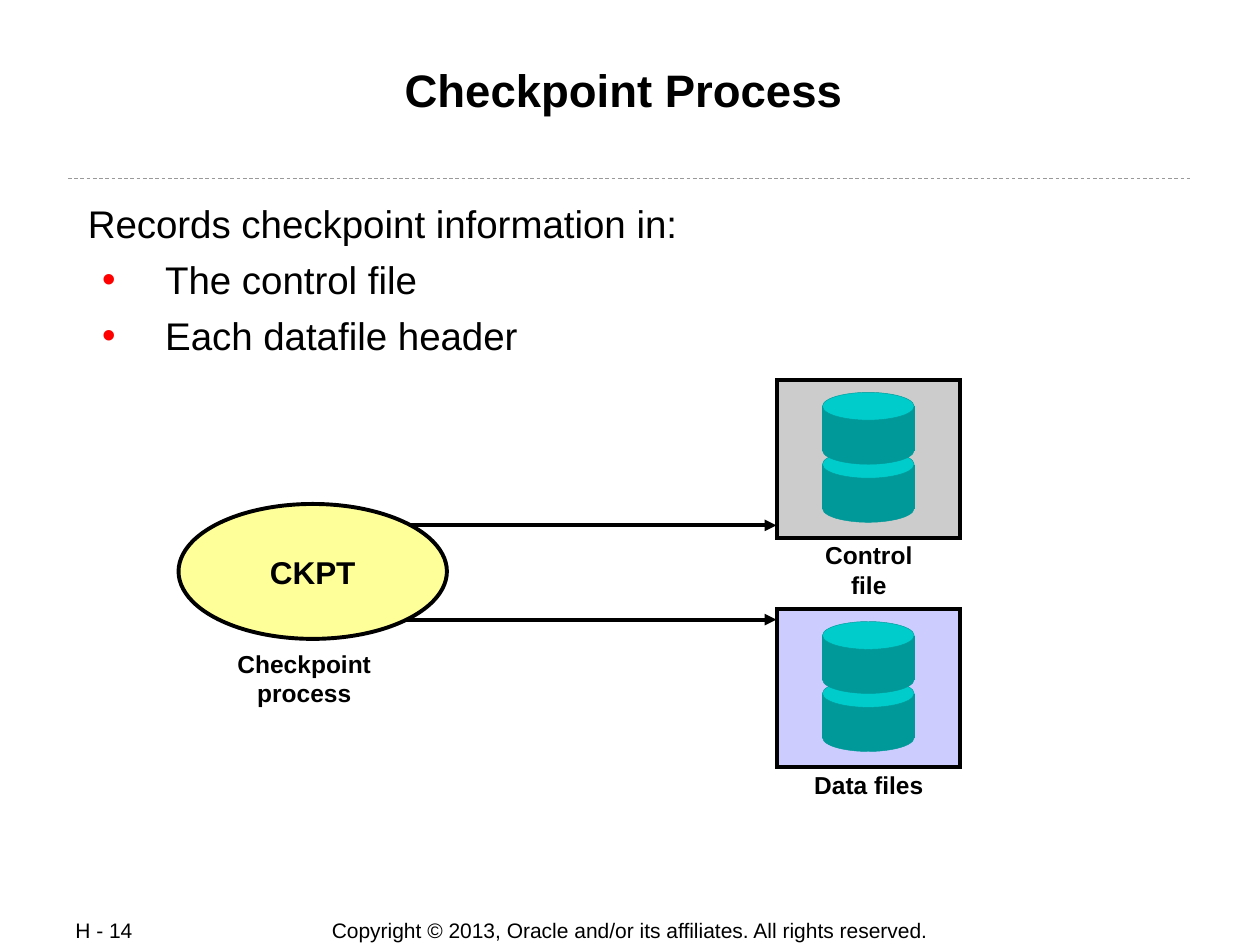
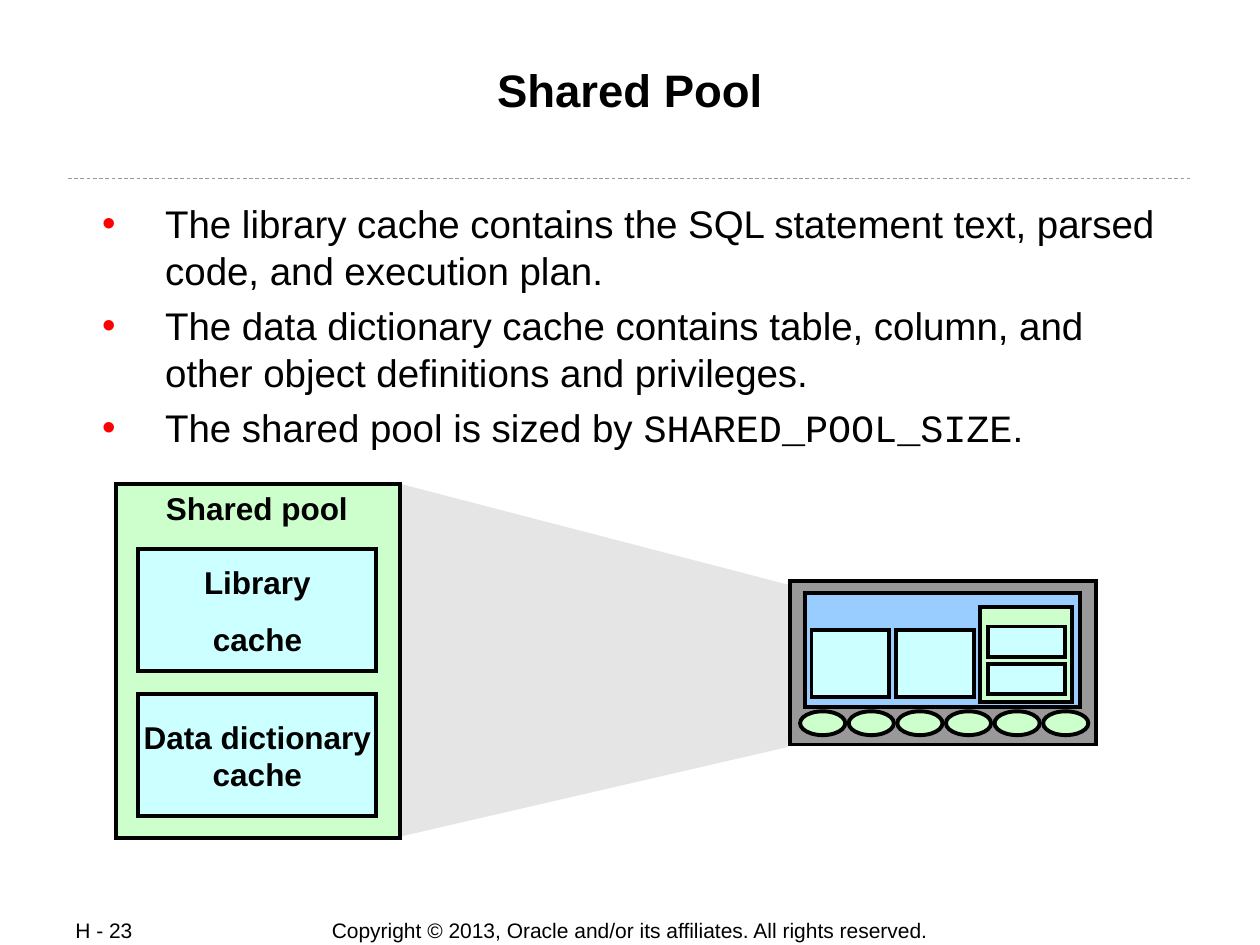
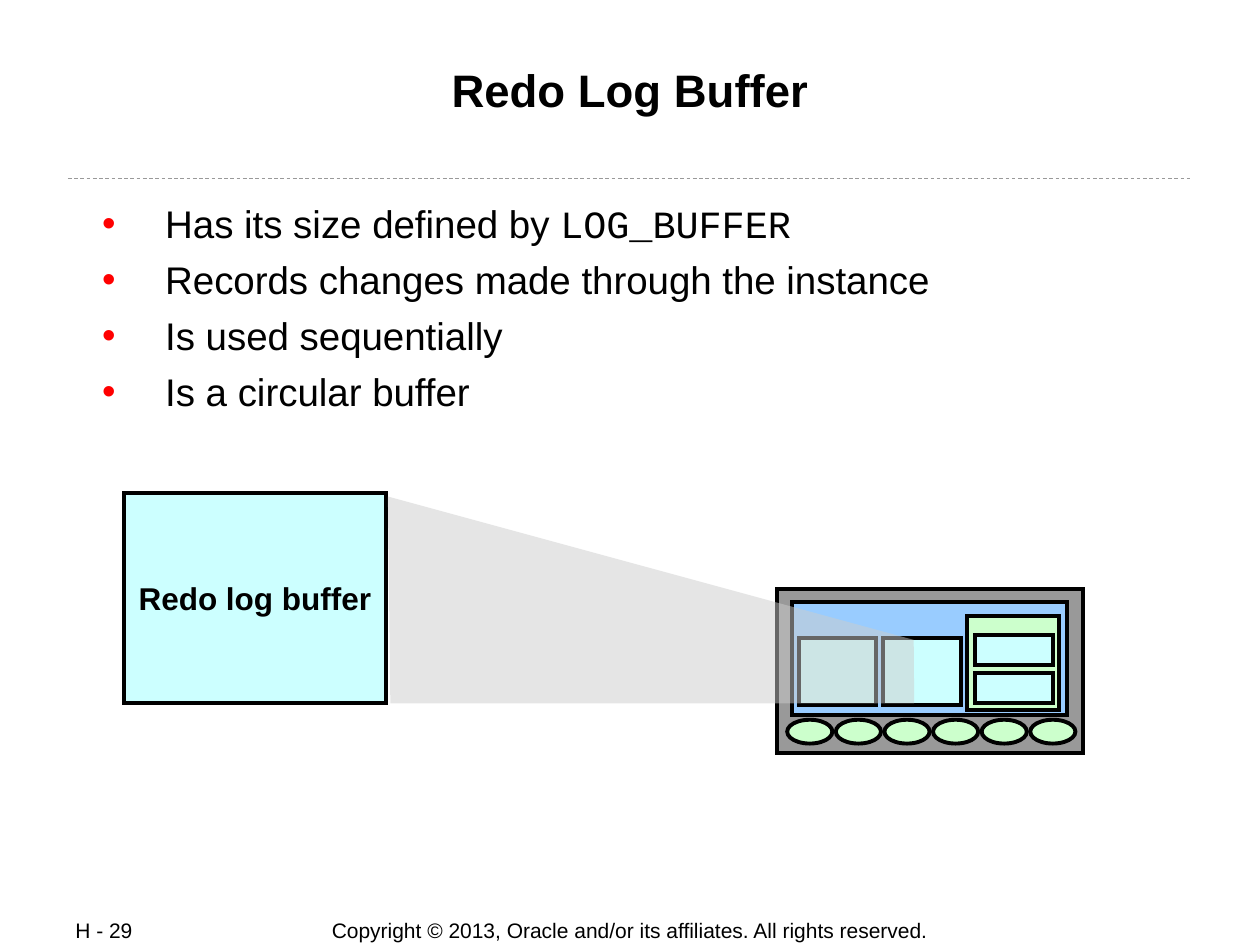
import dataclasses

import lxml.etree
import pptx
import pptx.dml.color
import pptx.enum.dml
import pptx.enum.shapes
import pptx.enum.text
import pptx.oxml.ns
import pptx.util

Cm = pptx.util.Cm
Pt = pptx.util.Pt
RGB = pptx.dml.color.RGBColor.from_string
RECT = pptx.enum.shapes.MSO_SHAPE.RECTANGLE
OVAL = pptx.enum.shapes.MSO_SHAPE.OVAL
ALIGN = pptx.enum.text.PP_ALIGN
ANCHOR = pptx.enum.text.MSO_ANCHOR


@dataclasses.dataclass(frozen=True)
class Theme:
    font: str = "Arial"
    code_font: str = "Courier New"
    title_size: float = 26
    body_size: float = 22
    shape_size: float = 18
    label_size: float = 14
    footer_size: float = 12
    outline: float = 2.25
    ink: str = "000000"
    bullet: str = "FF0000"
    rule: str = "999999"
    beam: str = "CCCCCC"
    grey: str = "CCCCCC"
    lilac: str = "CCCCFF"
    yellow: str = "FFFF99"
    green: str = "CCFFCC"
    cyan: str = "CCFFFF"
    blue: str = "99CCFF"
    frame: str = "999999"
    disk: str = "009999"
    disk_top: str = "00CCCC"


THEME = Theme()
COPYRIGHT = "Copyright © 2013, Oracle and/or its affiliates. All rights reserved."


def add_xml(parent, tag, **attributes):
    child = lxml.etree.SubElement(parent, pptx.oxml.ns.qn(tag))
    for name, value in attributes.items():
        child.set(name, value)
    return child


def place(sp, left, top, width, height):
    sp.left, sp.top, sp.width, sp.height = Cm(left), Cm(top), Cm(width), Cm(height)


def style_font(font, size, bold=False, name=THEME.font):
    font.name = name
    font.size = Pt(size)
    font.bold = bold
    font.color.rgb = RGB(THEME.ink)


def write(tf, text, size, bold=True, align=ALIGN.CENTER, space=0):
    tf.text = text
    for i, p in enumerate(tf.paragraphs):
        p.alignment = align
        p.space_before = Pt(space if i else 0)
        for r in p.runs:
            style_font(r.font, size, bold)


def prepare_placeholder(sp, box):
    place(sp, *box)
    tf = sp.text_frame
    tf.word_wrap = True
    tf.auto_size = pptx.enum.text.MSO_AUTO_SIZE.NONE
    tf.vertical_anchor = ANCHOR.TOP
    tf.margin_left = tf.margin_right = tf.margin_top = tf.margin_bottom = Cm(0.03)
    return tf


def add_label(s, box, text, size=THEME.label_size, bold=True,
              align=ALIGN.CENTER, anchor=ANCHOR.TOP):
    tf = s.shapes.add_textbox(*map(Cm, box)).text_frame
    tf.word_wrap = True
    tf.vertical_anchor = anchor
    write(tf, text, size, bold, align)


def add_line(s, start, end, color, width):
    sp = s.shapes.add_connector(pptx.enum.shapes.MSO_CONNECTOR.STRAIGHT,
                                *map(Cm, start + end))
    sp.line.color.rgb = RGB(color)
    sp.line.width = Pt(width)
    add_xml(sp._element.spPr, "a:effectLst")
    return sp


def add_arrow(s, start, end):
    sp = add_line(s, start, end, THEME.ink, THEME.outline)
    add_xml(sp.line._get_or_add_ln(), "a:tailEnd", type="triangle")


def add_figure(s, kind, box, fill, text="", line=THEME.ink, width=THEME.outline):
    sp = s.shapes.add_shape(kind, *map(Cm, box))
    sp.shadow.inherit = False
    sp.fill.solid()
    sp.fill.fore_color.rgb = RGB(fill)
    sp.line.color.rgb = RGB(line)
    sp.line.width = Pt(width)
    add_xml(sp.line._get_or_add_ln(), "a:miter", lim="800000")
    if text:
        tf = sp.text_frame
        tf.word_wrap = False
        tf.vertical_anchor = ANCHOR.MIDDLE
        write(tf, text, THEME.shape_size, space=11.2)


def add_beam(s, *points):
    corners = [(Cm(x), Cm(y)) for x, y in points]
    builder = s.shapes.build_freeform(*corners[0])
    builder.add_line_segments(corners[1:])
    sp = builder.convert_to_shape()
    sp.shadow.inherit = False
    sp.fill.solid()
    sp.fill.fore_color.rgb = RGB(THEME.beam)
    sp.line.fill.background()
    color = sp._element.spPr.find(".//" + pptx.oxml.ns.qn("a:srgbClr"))
    add_xml(color, "a:alpha", val="50000")


def add_disk(s, left, top):
    for kind, drop, height, fill in ((RECT, 0.29, 0.87, THEME.disk),
                                     (OVAL, 0, 0.56, THEME.disk_top),
                                     (OVAL, 0.89, 0.56, THEME.disk)):
        add_figure(s, kind, (left, top + drop, 1.85, height), fill,
                   line=THEME.disk, width=0.25)


def add_storage(s, left, top, fill):
    add_figure(s, RECT, (left, top, 3.68, 3.18), fill)
    for drop in (1.42, 0.25):
        add_disk(s, left + 0.91, top + drop)


def add_instance(s, left, top):
    parts = [
        (RECT, 0, 0, 6.17, 3.3, THEME.frame),
        (RECT, 0.29, 0.25, 5.56, 2.29, THEME.blue),
        (RECT, 0.43, 0.99, 1.57, 1.35, THEME.cyan),
        (RECT, 2.13, 0.99, 1.57, 1.35, THEME.cyan),
        (RECT, 3.83, 0.53, 1.85, 1.91, THEME.green),
        (RECT, 3.98, 0.92, 1.57, 0.61, THEME.cyan),
        (RECT, 3.98, 1.68, 1.57, 0.61, THEME.cyan),
    ]
    parts += [(OVAL, 0.2 + 0.98 * i, 2.63, 0.91, 0.48, THEME.green) for i in range(6)]
    for kind, x, y, width, height, fill in parts:
        add_figure(s, kind, (left + x, top + y, width, height), fill)


def add_bullet(p):
    pPr = p._p.get_or_add_pPr()
    pPr.set("marL", str(Cm(1.6)))
    pPr.set("indent", str(Cm(-1.27)))
    add_xml(add_xml(pPr, "a:buClr"), "a:srgbClr", val=THEME.bullet)
    add_xml(pPr, "a:buFont", typeface=THEME.font)
    add_xml(pPr, "a:buChar", char="•")


def remove_bullet(p):
    pPr = p._p.get_or_add_pPr()
    pPr.set("marL", str(Cm(0.04)))
    pPr.set("indent", "0")
    add_xml(pPr, "a:buNone")


def fill_body(tf, items, intro):
    for i, item in enumerate([intro] * bool(intro) + items):
        p = tf.add_paragraph() if i else tf.paragraphs[0]
        if item == intro:
            remove_bullet(p)
        else:
            p.level = 1
            add_bullet(p)
        p.alignment = ALIGN.LEFT
        p.space_before = Pt(5.5 if i else 0)
        for n, part in enumerate(item.split("`")):
            if part:
                r = p.add_run()
                r.text = part
                style_font(r.font, THEME.body_size,
                           name=THEME.code_font if n % 2 else THEME.font)


def add_slide(prs, page, title, body_height, items, intro=""):
    s = prs.slides.add_slide(prs.slide_layouts[1])
    add_label(s, (6.35, 18.49, 12.7, 0.53), COPYRIGHT, THEME.footer_size, False,
              anchor=ANCHOR.MIDDLE)
    add_label(s, (1.27, 18.49, 2.69, 0.51), page, THEME.footer_size, False,
              ALIGN.LEFT, ANCHOR.MIDDLE)
    rule = add_line(s, (1.37, 3.6), (24.03, 3.6), THEME.rule, 0.5)
    rule.line.dash_style = pptx.enum.dml.MSO_LINE.DASH
    tf = prepare_placeholder(s.shapes.title, (1.7, 1.22, 22, 2.44))
    write(tf, title, THEME.title_size)
    tf = prepare_placeholder(s.placeholders[1], (1.7, 4.01, 22, body_height))
    fill_body(tf, items, intro)
    return s


def add_checkpoint_slide(prs):
    s = add_slide(prs, "H - 14", "Checkpoint Process \v", 3.25,
                  ["The control file", "Each datafile header"],
                  "Records checkpoint information in:")
    for y in (10.59, 12.49):
        add_arrow(s, (8.05, y), (15.65, y))
    add_label(s, (4.19, 12.95, 3.89, 1.45), "Checkpoint process")
    add_label(s, (16.03, 15.39, 2.97, 0.86), "Data files")
    add_label(s, (16.03, 10.77, 2.97, 1.45), "Control file")
    add_storage(s, 15.67, 7.66, THEME.grey)
    add_storage(s, 15.67, 12.28, THEME.lilac)
    add_figure(s, OVAL, (3.6, 10.16, 5.41, 2.72), THEME.yellow, "CKPT")


def add_shared_pool_slide(prs):
    s = add_slide(prs, "H - 23", "Shared Pool", 5.11, [
        "The library cache contains the SQL statement text, parsed code, "
        "and execution plan.",
        "The data dictionary cache contains table, column, and other object "
        "definitions and privileges.",
        "The shared pool is sized by `SHARED_POOL_SIZE`.",
    ])
    add_beam(s, (8.05, 9.75), (8.05, 16.87), (15.88, 15.06), (15.9, 11.79))
    add_figure(s, RECT, (2.34, 9.75, 5.72, 7.14), THEME.green)
    for y, text in ((14, "Data dictionary\vcache"), (11.07, "Library\ncache")):
        add_figure(s, RECT, (2.79, y, 4.8, 2.46), THEME.cyan, text)
    add_label(s, (2.54, 9.73, 5.28, 1.02), "Shared pool", THEME.shape_size)
    add_instance(s, 15.93, 11.71)


def add_redo_log_slide(prs):
    s = add_slide(prs, "H - 29", "Redo Log Buffer", 4.37, [
        "Has its size defined by `LOG_BUFFER`",
        "Records changes made through the instance",
        "Is used sequentially",
        "Is a circular buffer",
    ])
    add_instance(s, 15.67, 11.88)
    add_figure(s, RECT, (2.5, 9.94, 5.28, 4.24), THEME.cyan, "Redo log buffer")
    add_beam(s, (7.87, 14.18), (18.43, 14.18), (18.42, 12.9), (7.82, 10.01))


def main():
    prs = pptx.Presentation()
    prs.slide_width, prs.slide_height = Cm(25.4), Cm(19.05)
    add_checkpoint_slide(prs)
    add_shared_pool_slide(prs)
    add_redo_log_slide(prs)
    prs.save("out.pptx")


if __name__ == "__main__":
    main()
